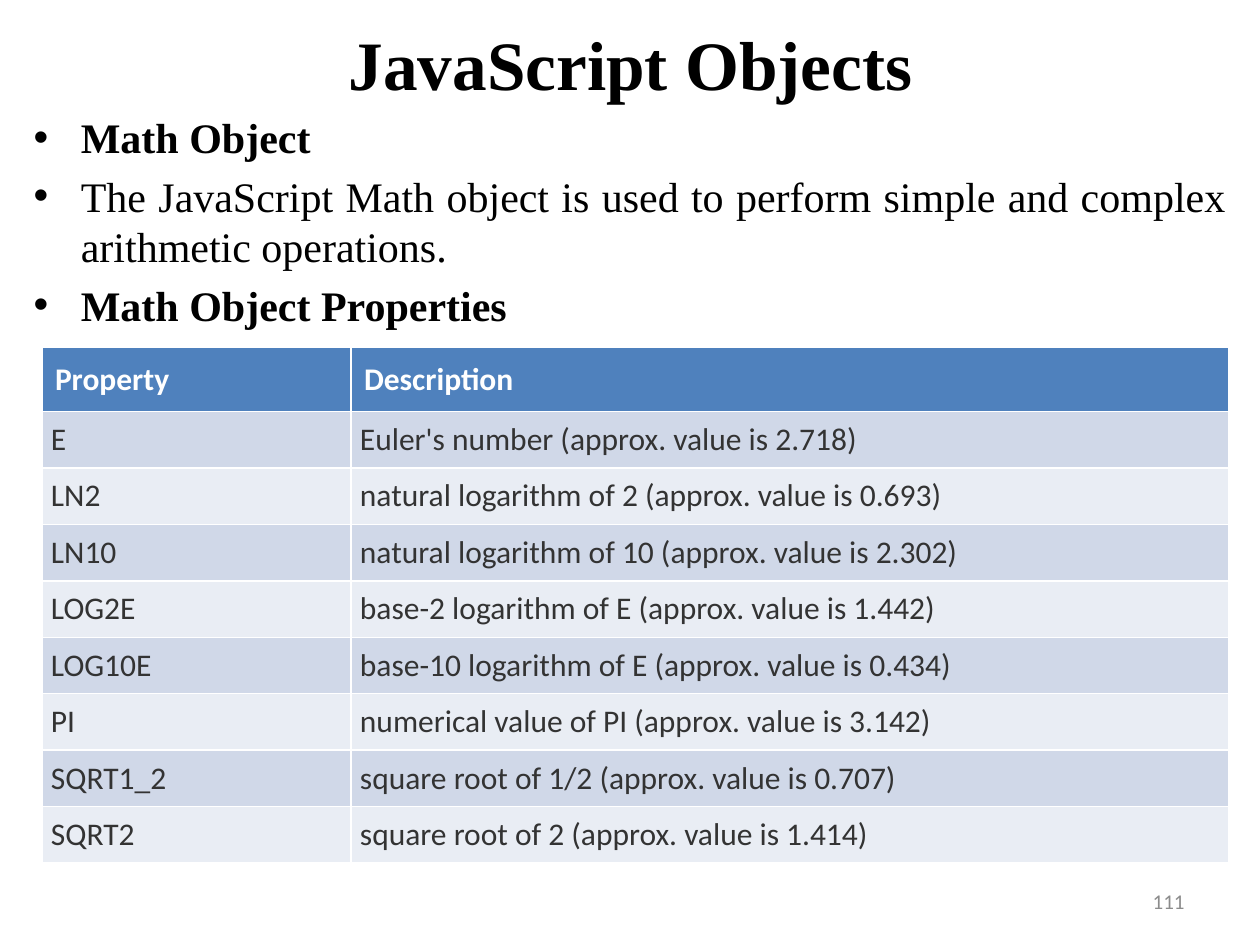
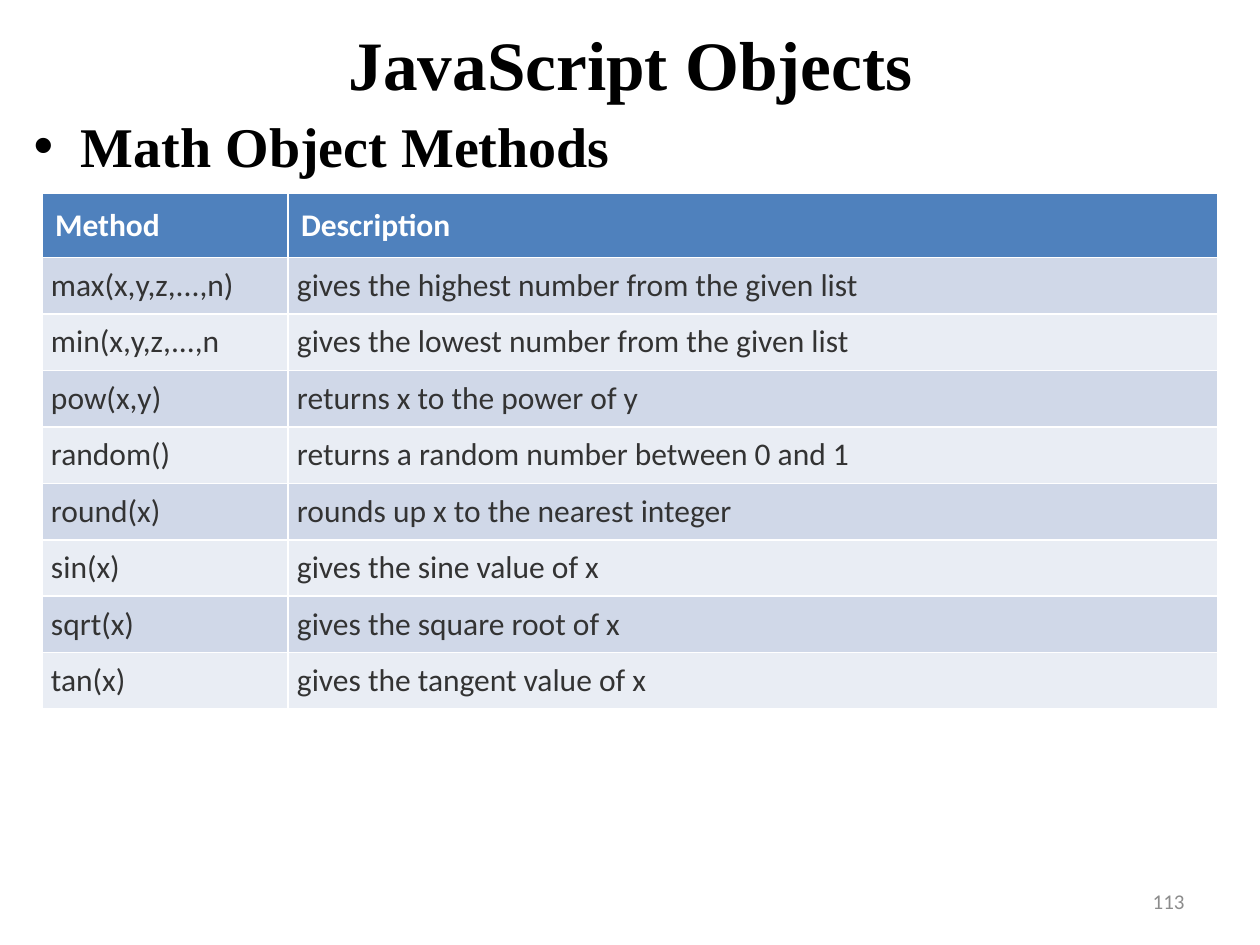
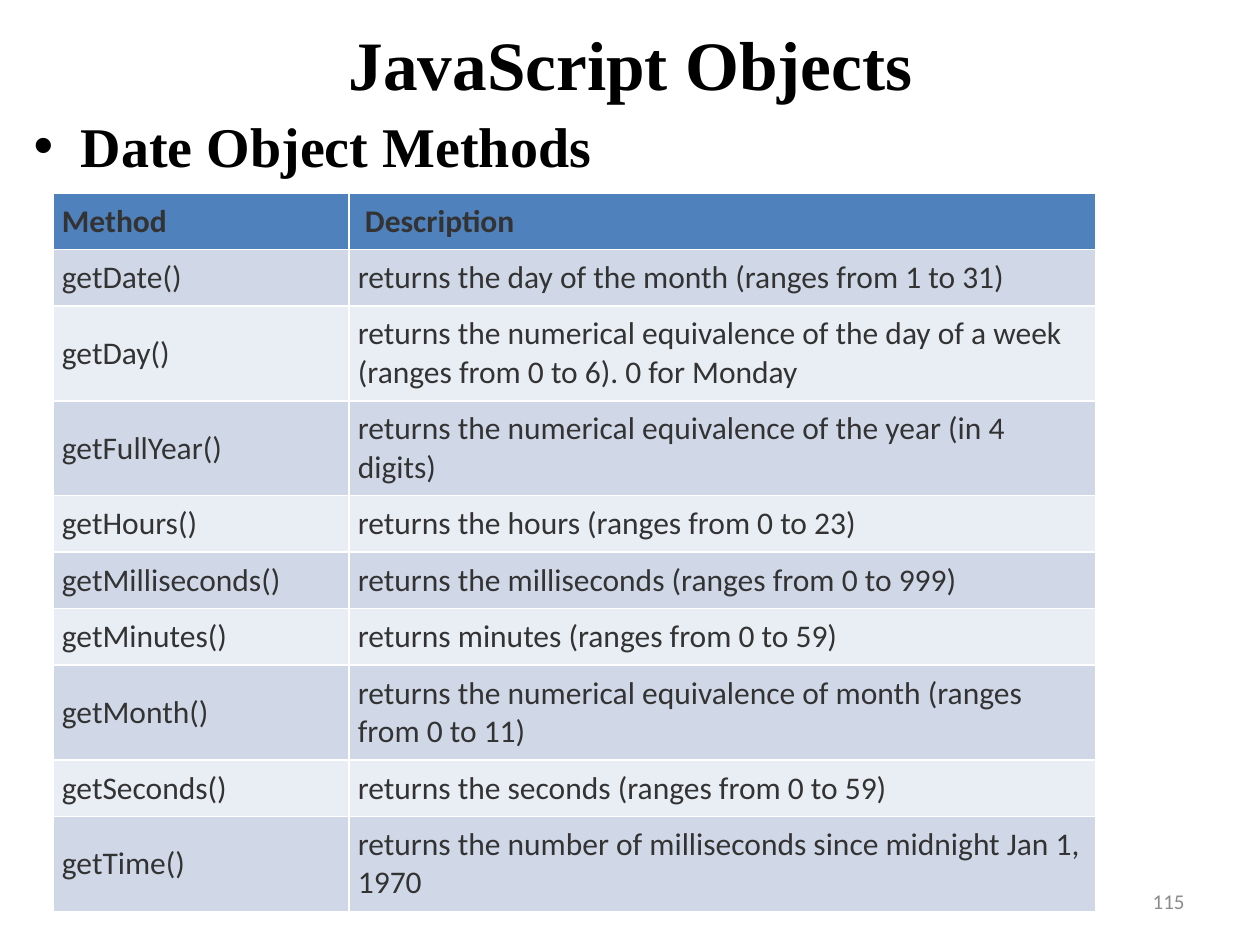
from pptx import Presentation
from pptx.dml.color import RGBColor
from pptx.enum.text import MSO_ANCHOR as Anchor, MSO_AUTO_SIZE as AutoSize, PP_ALIGN as Align
from pptx.util import Emu, Pt

EMU_PER_PX = 914400 / 126
BLACK = RGBColor(0x00, 0x00, 0x00)
WHITE = RGBColor(0xFF, 0xFF, 0xFF)
CHARCOAL = RGBColor(0x33, 0x33, 0x33)
GREY = RGBColor(0x8C, 0x8C, 0x8C)
HEADER_BLUE = RGBColor(0x4F, 0x81, 0xBD)
BANDS = RGBColor(0xD0, 0xD8, 0xE8), RGBColor(0xE9, 0xED, 0xF4)
SERIF, SANS = "Times New Roman", "Calibri"
ROW_HEIGHT = 52
CELL_INSET = 9

MATH_PROPERTIES = [
    ("Property", "Description"),
    ("E", "Euler's number (approx. value is 2.718)"),
    ("LN2", "natural logarithm of 2 (approx. value is 0.693)"),
    ("LN10", "natural logarithm of 10 (approx. value is 2.302)"),
    ("LOG2E", "base-2 logarithm of E (approx. value is 1.442)"),
    ("LOG10E", "base-10 logarithm of E (approx. value is 0.434)"),
    ("PI", "numerical value of PI (approx. value is 3.142)"),
    ("SQRT1_2", "square root of 1/2 (approx. value is 0.707)"),
    ("SQRT2", "square root of 2 (approx. value is 1.414)"),
]
MATH_METHODS = [
    ("Method", "Description"),
    ("max(x,y,z,...,n)", "gives the highest number from the given list"),
    ("min(x,y,z,...,n", "gives the lowest number from the given list"),
    ("pow(x,y)", "returns x to the power of y"),
    ("random()", "returns a random number between 0 and 1"),
    ("round(x)", "rounds up x to the nearest integer"),
    ("sin(x)", "gives the sine value of x"),
    ("sqrt(x)", "gives the square root of x"),
    ("tan(x)", "gives the tangent value of x"),
]
DATE_METHODS = [
    ("Method", " Description"),
    ("getDate()", "returns the day of the month (ranges from 1 to 31)"),
    ("getDay()", "returns the numerical equivalence of the day of a week "
                 "(ranges from 0 to 6). 0 for Monday"),
    ("getFullYear()", "returns the numerical equivalence of the year (in 4 digits)"),
    ("getHours()", "returns the hours (ranges from 0 to 23)"),
    ("getMilliseconds()", "returns the milliseconds (ranges from 0 to 999)"),
    ("getMinutes()", "returns minutes (ranges from 0 to 59)"),
    ("getMonth()", "returns the numerical equivalence of month (ranges from 0 to 11)"),
    ("getSeconds()", "returns the seconds (ranges from 0 to 59)"),
    ("getTime()", "returns the number of milliseconds since midnight Jan 1, 1970"),
]


def px(length):
    return Emu(round(length * EMU_PER_PX))


class Deck:
    def __init__(self):
        self.presentation = Presentation()
        self.presentation.slide_width = px(1260)
        self.presentation.slide_height = px(945)
        self.slide = None

    def new_slide(self, number):
        layout = self.presentation.slide_layouts[1]
        self.slide = self.presentation.slides.add_slide(layout)
        self.title("JavaScript Objects")
        self.page_number(number)

    def add_text(self, paragraph, text, font, size, color, bold=False, align=None):
        paragraph.alignment = align
        run = paragraph.add_run()
        run.text = text
        run.font.name = font
        run.font.size = Pt(size)
        run.font.bold = bold
        run.font.color.rgb = color

    def place(self, shape, left, top, width, height, anchor):
        """Move a text shape and return its frame, ready for text."""
        shape.left, shape.top = px(left), px(top)
        shape.width, shape.height = px(width), px(height)
        frame = shape.text_frame
        frame.word_wrap = True
        frame.auto_size = AutoSize.NONE
        frame.vertical_anchor = anchor
        return frame

    def title(self, text):
        frame = self.place(self.slide.shapes.title, 32, 21, 1197, 84, Anchor.MIDDLE)
        self.add_text(frame.paragraphs[0], text, SERIF, 39.6, BLACK, True, Align.CENTER)

    def page_number(self, number):
        box = self.slide.shapes.add_textbox(0, 0, 0, 0)
        frame = self.place(box, 903, 876, 294, 50, Anchor.MIDDLE)
        self.add_text(frame.paragraphs[0], str(number), SANS, 12, GREY, align=Align.RIGHT)

    def bullets(self, size, *points):
        """Fill the body with (text, bold) points."""
        frame = self.place(self.slide.placeholders[1], 21, 105, 1218, 809, Anchor.TOP)
        for index, (text, bold) in enumerate(points):
            paragraph = frame.add_paragraph() if index else frame.paragraphs[0]
            self.add_text(paragraph, text, SERIF, size, BLACK, bold, Align.JUSTIFY)

    def table(self, left, top, widths, rows, header_color=WHITE, header_inset=13):
        table = self.slide.shapes.add_table(
            len(rows), len(widths), px(left), px(top),
            px(sum(widths)), px(ROW_HEIGHT * len(rows))).table
        for column, width in zip(table.columns, widths):
            column.width = px(width)
        for r, texts in enumerate(rows):
            header = r == 0
            for c, text in enumerate(texts):
                self.cell(table.cell(r, c), text,
                          HEADER_BLUE if header else BANDS[(r - 1) % 2],
                          header_color if header else CHARCOAL,
                          header_inset if header else CELL_INSET, header)

    def cell(self, cell, text, fill, color, inset, bold):
        cell.fill.solid()
        cell.fill.fore_color.rgb = fill
        cell.vertical_anchor = Anchor.MIDDLE
        cell.margin_left = cell.margin_right = px(inset)
        cell.margin_top = cell.margin_bottom = px(inset)
        self.add_text(cell.text_frame.paragraphs[0], text, SANS, 18, color, bold)


def main():
    deck = Deck()

    deck.new_slide(111)
    deck.bullets(
        24,
        ("Math Object", True),
        ("The JavaScript Math object is used to perform simple and complex "
         "arithmetic operations.", False),
        ("Math Object Properties", True))
    deck.table(42, 347, (309, 878), MATH_PROPERTIES)

    deck.new_slide(113)
    deck.bullets(32, ("Math Object Methods", True))
    deck.table(42, 193, (246, 930), MATH_METHODS)

    deck.new_slide(115)
    deck.bullets(32, ("Date Object Methods", True))
    deck.table(53, 193, (296, 747), DATE_METHODS, CHARCOAL, CELL_INSET)

    deck.presentation.save("out.pptx")


if __name__ == "__main__":
    main()
